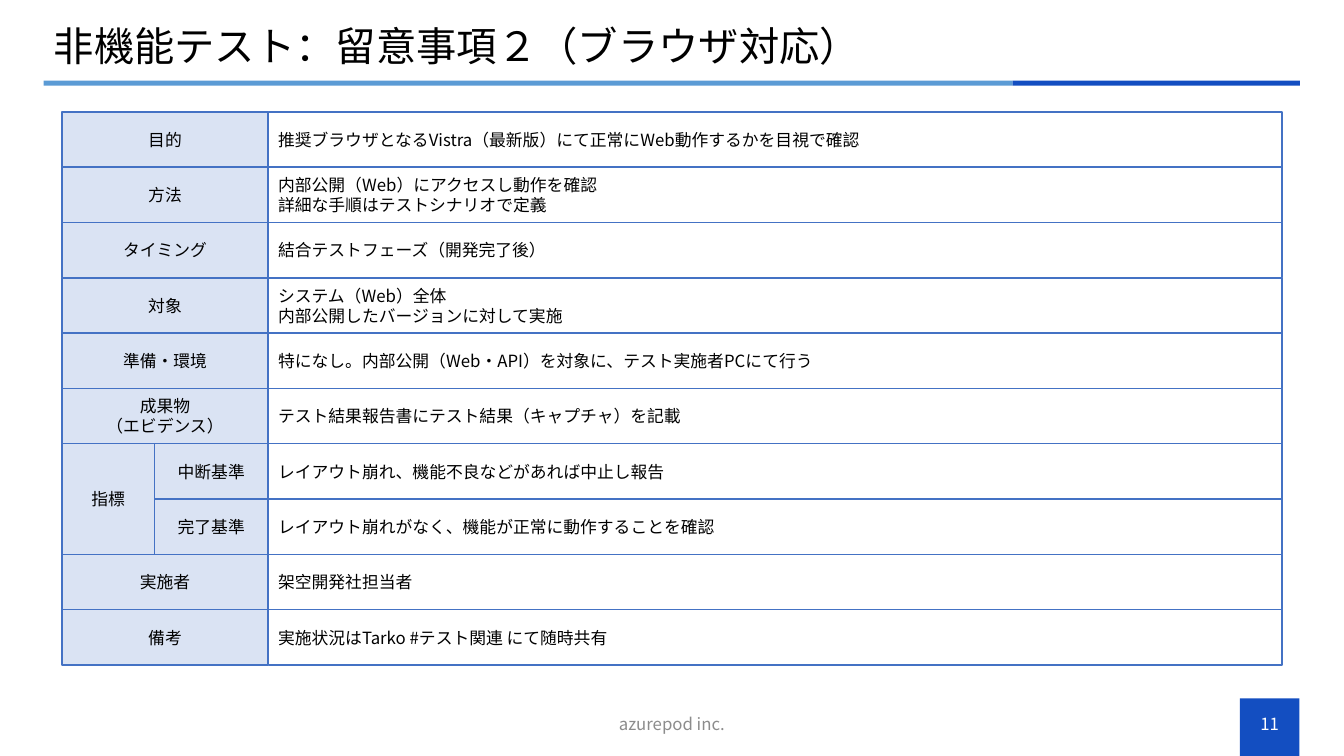
"""Build a slide that lists the browser test notes as a grid of boxes."""
import dataclasses

import pptx
import pptx.dml.color
import pptx.enum.shapes
import pptx.enum.text
import pptx.oxml.ns
import pptx.util
from lxml import etree

Cm = pptx.util.Cm
Align = pptx.enum.text.PP_ALIGN


@dataclasses.dataclass(frozen=True)
class Theme:
    font: str = "Noto Sans CJK JP"
    ink: str = "000000"
    paper: str = "FFFFFF"
    gray: str = "8C8C8C"
    navy: str = "134EC1"
    sky: str = "5B9BD5"
    tint: str = "DAE3F3"
    edge: str = "4472C4"
    title: float = 28.8
    body: float = 12
    line: float = 1


class Deck:
    def __init__(self, theme):
        self.theme = theme
        self.file = pptx.Presentation()
        self.file.slide_width = Cm(33.87)
        self.file.slide_height = Cm(19.05)
        self.slide = self.file.slides.add_slide(self.file.slide_layouts[5])

    def rgb(self, code):
        return pptx.dml.color.RGBColor.from_string(code)

    def fill_text(self, frame, text, size, color, align):
        frame.text = text
        frame.word_wrap = True
        frame.auto_size = pptx.enum.text.MSO_AUTO_SIZE.NONE
        frame.vertical_anchor = pptx.enum.text.MSO_ANCHOR.MIDDLE
        for para in frame.paragraphs:
            para.alignment = align
            font = para.font
            font.size = pptx.util.Pt(size)
            font.color.rgb = self.rgb(color)
            font.name = self.theme.font
            props = para._p.pPr.find(pptx.oxml.ns.qn("a:defRPr"))
            east = etree.SubElement(props, pptx.oxml.ns.qn("a:ea"))
            east.set("typeface", self.theme.font)

    def title(self, text, left, top, width, height):
        shape = self.slide.shapes.title
        shape.left, shape.top = Cm(left), Cm(top)
        shape.width, shape.height = Cm(width), Cm(height)
        self.fill_text(shape.text_frame, text, self.theme.title, self.theme.ink, Align.LEFT)
        shape.text_frame.paragraphs[0].line_spacing = 0.9

    def bar(self, fill, left, top, width, height):
        shape = self.slide.shapes.add_shape(
            pptx.enum.shapes.MSO_SHAPE.RECTANGLE,
            Cm(left), Cm(top), Cm(width), Cm(height))
        shape.shadow.inherit = False
        shape.fill.solid()
        shape.fill.fore_color.rgb = self.rgb(fill)
        shape.line.fill.background()
        return shape

    def cell(self, text, fill, align, left, top, width, height):
        shape = self.bar(fill, left, top, width, height)
        shape.line.color.rgb = self.rgb(self.theme.edge)
        shape.line.width = pptx.util.Pt(self.theme.line)
        self.fill_text(shape.text_frame, text, self.theme.body, self.theme.ink, align)

    def label(self, text, color, left, top, width, height):
        box = self.slide.shapes.add_textbox(Cm(left), Cm(top), Cm(width), Cm(height))
        self.fill_text(box.text_frame, text, self.theme.body, color, Align.CENTER)


ROWS = [
    ("目的", "推奨ブラウザとなるVistra（最新版）にて正常にWeb動作するかを目視で確認"),
    ("方法", "内部公開（Web）にアクセスし動作を確認\n詳細な手順はテストシナリオで定義"),
    ("タイミング", "結合テストフェーズ（開発完了後）"),
    ("対象", "システム（Web）全体\n内部公開したバージョンに対して実施"),
    ("準備・環境", "特になし。内部公開（Web・API）を対象に、テスト実施者PCにて行う"),
    ("成果物\n（エビデンス）", "テスト結果報告書にテスト結果（キャプチャ）を記載"),
    ("中断基準", "レイアウト崩れ、機能不良などがあれば中止し報告"),
    ("完了基準", "レイアウト崩れがなく、機能が正常に動作することを確認"),
    ("実施者", "架空開発社担当者"),
    ("備考", "実施状況はTarko #テスト関連 にて随時共有"),
]
GROUP = "指標"
PARTS = ("中断基準", "完了基準")
LEFT, INNER, SPLIT, RIGHT = 1.56, 3.89, 6.76, 32.31
TOP = 2.82
PITCH = 13.94 / len(ROWS)


def main():
    theme = Theme()
    deck = Deck(theme)
    deck.bar(theme.navy, 31.25, 17.6, 1.5, 1.45)
    deck.bar(theme.sky, 1.1, 2.03, 24.42, 0.13)
    deck.bar(theme.navy, 25.52, 2.03, 7.24, 0.13)
    deck.title("非機能テスト：留意事項２（ブラウザ対応）", 1.1, 0.53, 31.65, 1.4)
    deck.label("azurepod inc.", theme.gray, 11.22, 17.73, 11.43, 1.01)
    deck.label("11", theme.paper, 31.25, 17.73, 1.5, 1.01)

    for index, (name, note) in enumerate(ROWS):
        top = TOP + index * PITCH
        left = INNER if name in PARTS else LEFT
        deck.cell(name, theme.tint, Align.CENTER, left, top, SPLIT - left, PITCH)
        deck.cell(note, theme.paper, Align.LEFT, SPLIT, top, RIGHT - SPLIT, PITCH)
        if name == PARTS[0]:
            deck.cell(GROUP, theme.tint, Align.CENTER,
                      LEFT, top, INNER - LEFT, len(PARTS) * PITCH)
    deck.file.save("out.pptx")


if __name__ == "__main__":
    main()
